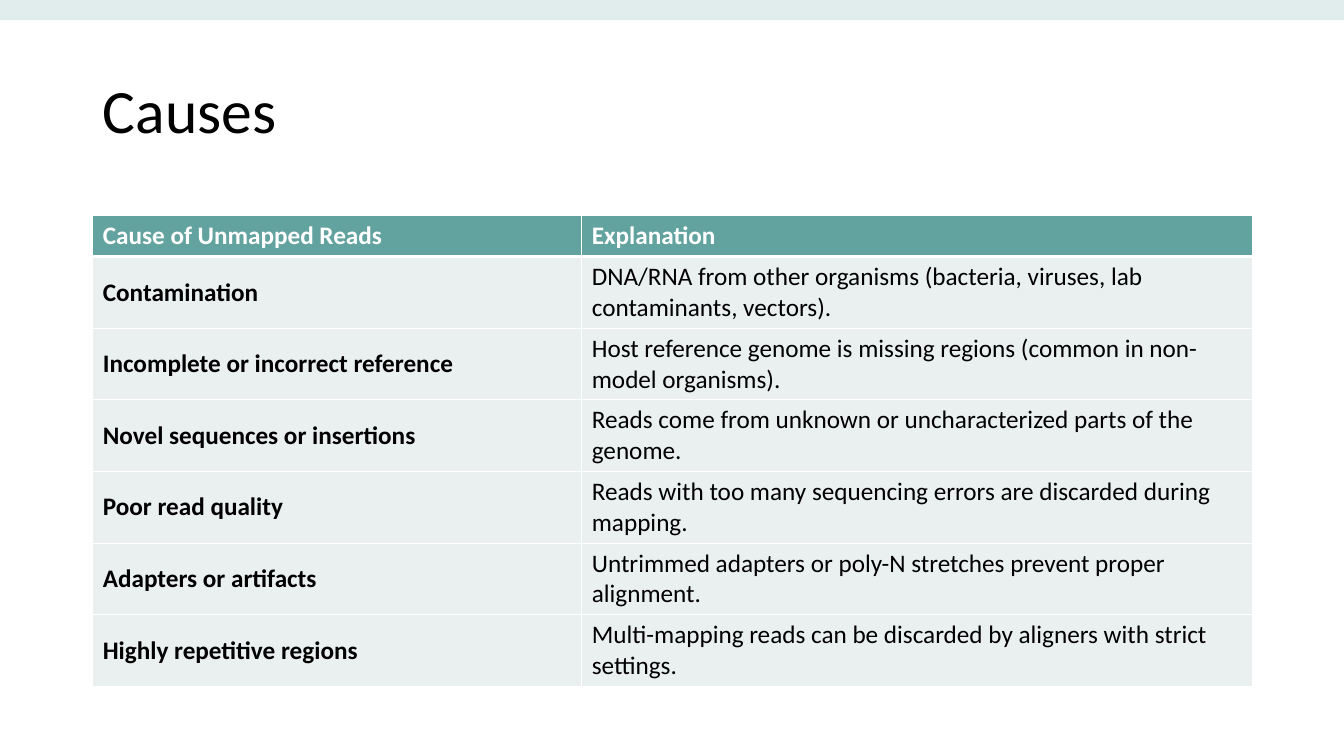
from lxml.etree import SubElement
from pptx import Presentation
from pptx.dml.color import RGBColor
from pptx.enum.shapes import MSO_SHAPE
from pptx.enum.text import MSO_ANCHOR, PP_ALIGN
from pptx.oxml.ns import qn
from pptx.util import Inches, Pt

HEADING = "Causes"
HEADER = ("Cause of Unmapped Reads", "Explanation")
CAUSES = [
    ("Contamination", "DNA/RNA from other organisms (bacteria, viruses, lab contaminants, vectors)."),
    ("Incomplete or incorrect reference", "Host reference genome is missing regions (common in non-model organisms)."),
    ("Novel sequences or insertions", "Reads come from unknown or uncharacterized parts of the genome."),
    ("Poor read quality", "Reads with too many sequencing errors are discarded during mapping."),
    ("Adapters or artifacts", "Untrimmed adapters or poly-N stretches prevent proper alignment."),
    ("Highly repetitive regions", "Multi-mapping reads can be discarded by aligners with strict settings."),
]

THEME = {
    "font": "Calibri",
    "title_size": 44,
    "table_size": 18,
    "text": "000000",
    "header_text": "FFFFFF",
    "header_fill": "62A39F",
    "body_fill": "EAF0F0",
    "border": "FFFFFF",
    "band": "E0EDEC",
    "thin": 1,
    "thick": 3,
}

SLIDE_WIDTH, SLIDE_HEIGHT = Inches(13.33), Inches(7.5)
LEFT, WIDTH = Inches(0.92), Inches(11.5)
COLUMN_WIDTHS = (Inches(4.85), Inches(6.65))
HEADER_HEIGHT, CAUSE_HEIGHT = Inches(0.4), Inches(0.71)


def format_text(paragraph, size, color, bold=False):
    font = paragraph.font
    values = {"name": THEME["font"], "size": Pt(size), "bold": bold}
    for key, value in values.items():
        setattr(font, key, value)
    font.color.rgb = RGBColor.from_string(color)


def add_borders(cell, top, bottom):
    properties = cell._tc.get_or_add_tcPr()
    widths = {"a:lnL": THEME["thin"], "a:lnR": THEME["thin"], "a:lnT": top, "a:lnB": bottom}
    for side, width in widths.items():
        line = SubElement(properties, qn(side), w=str(Pt(width)))
        fill = SubElement(line, qn("a:solidFill"))
        SubElement(fill, qn("a:srgbClr"), val=THEME["border"])


def add_heading(slide):
    title = slide.shapes.title
    place = {"left": LEFT, "top": Inches(0.4), "width": WIDTH, "height": Inches(1.45)}
    for key, value in place.items():
        setattr(title, key, value)
    title.text_frame.text = HEADING
    title.text_frame.vertical_anchor = MSO_ANCHOR.MIDDLE
    heading = title.text_frame.paragraphs[0]
    heading.alignment = PP_ALIGN.LEFT
    heading.line_spacing = 0.9
    format_text(heading, THEME["title_size"], THEME["text"])


def add_causes(slide):
    rows = [HEADER, *CAUSES]
    heights = [HEADER_HEIGHT] + [CAUSE_HEIGHT] * len(CAUSES)
    table = slide.shapes.add_table(
        len(rows), len(HEADER), LEFT, Inches(2.14), WIDTH, sum(heights)
    ).table
    for column, width in zip(table.columns, COLUMN_WIDTHS):
        column.width = width
    for r, (row, height) in enumerate(zip(rows, heights)):
        table.rows[r].height = height
        is_header = r == 0
        for c, wording in enumerate(row):
            cell = table.cell(r, c)
            cell.text = wording
            cell.vertical_anchor = MSO_ANCHOR.MIDDLE
            add_borders(
                cell,
                THEME["thick" if r == 1 else "thin"],
                THEME["thick" if is_header else "thin"],
            )
            cell.fill.solid()
            fill = THEME["header_fill" if is_header else "body_fill"]
            cell.fill.fore_color.rgb = RGBColor.from_string(fill)
            color = THEME["header_text" if is_header else "text"]
            format_text(
                cell.text_frame.paragraphs[0], THEME["table_size"], color, is_header or c == 0
            )


def add_band(slide):
    band = slide.shapes.add_shape(MSO_SHAPE.RECTANGLE, 0, 0, SLIDE_WIDTH, Inches(0.2))
    band.shadow.inherit = False
    band.fill.solid()
    band.fill.fore_color.rgb = RGBColor.from_string(THEME["band"])
    band.line.fill.background()


def main():
    deck = Presentation()
    deck.slide_width, deck.slide_height = SLIDE_WIDTH, SLIDE_HEIGHT
    slide = deck.slides.add_slide(deck.slide_layouts[5])
    add_heading(slide)
    add_causes(slide)
    add_band(slide)
    deck.save("out.pptx")


if __name__ == "__main__":
    main()
